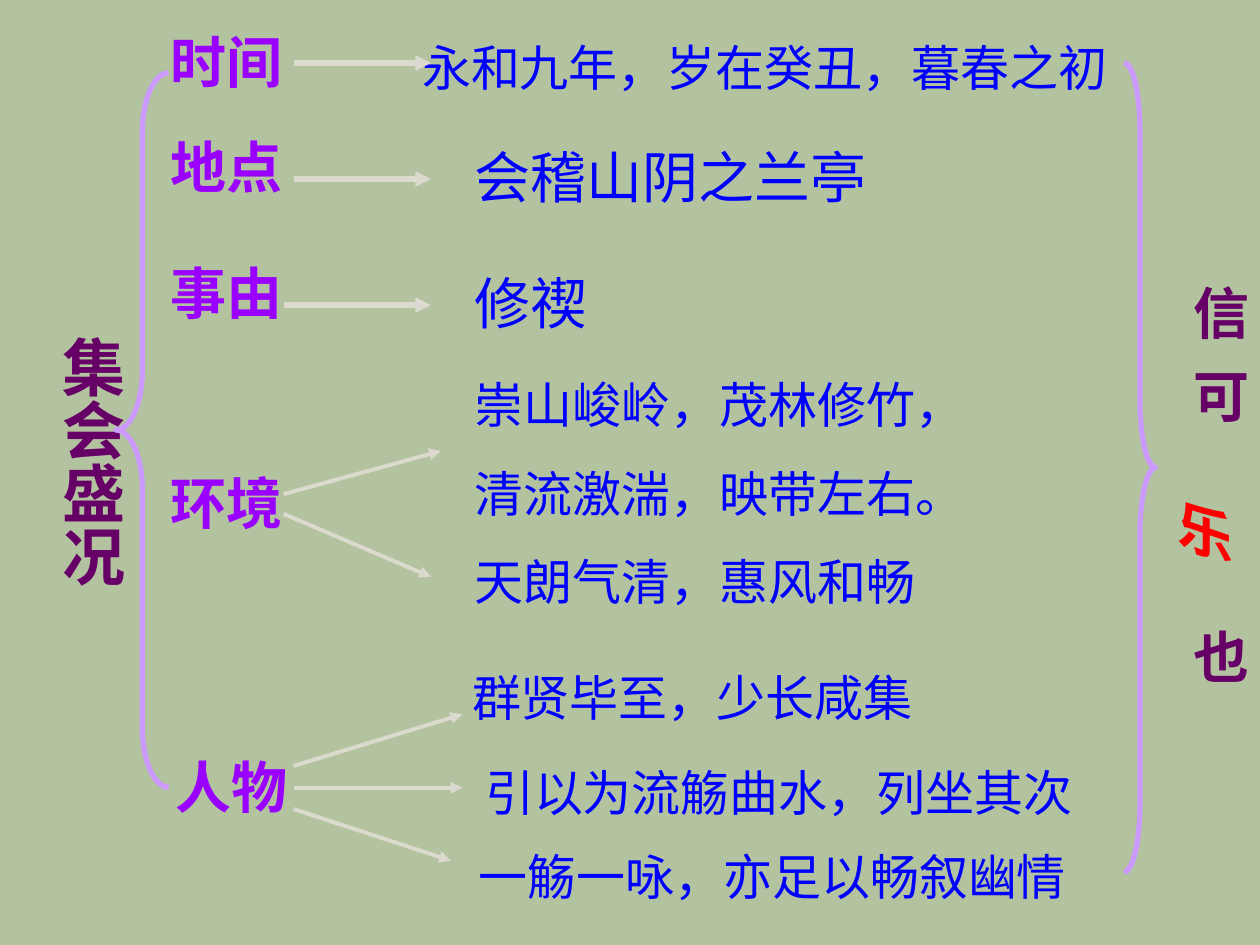
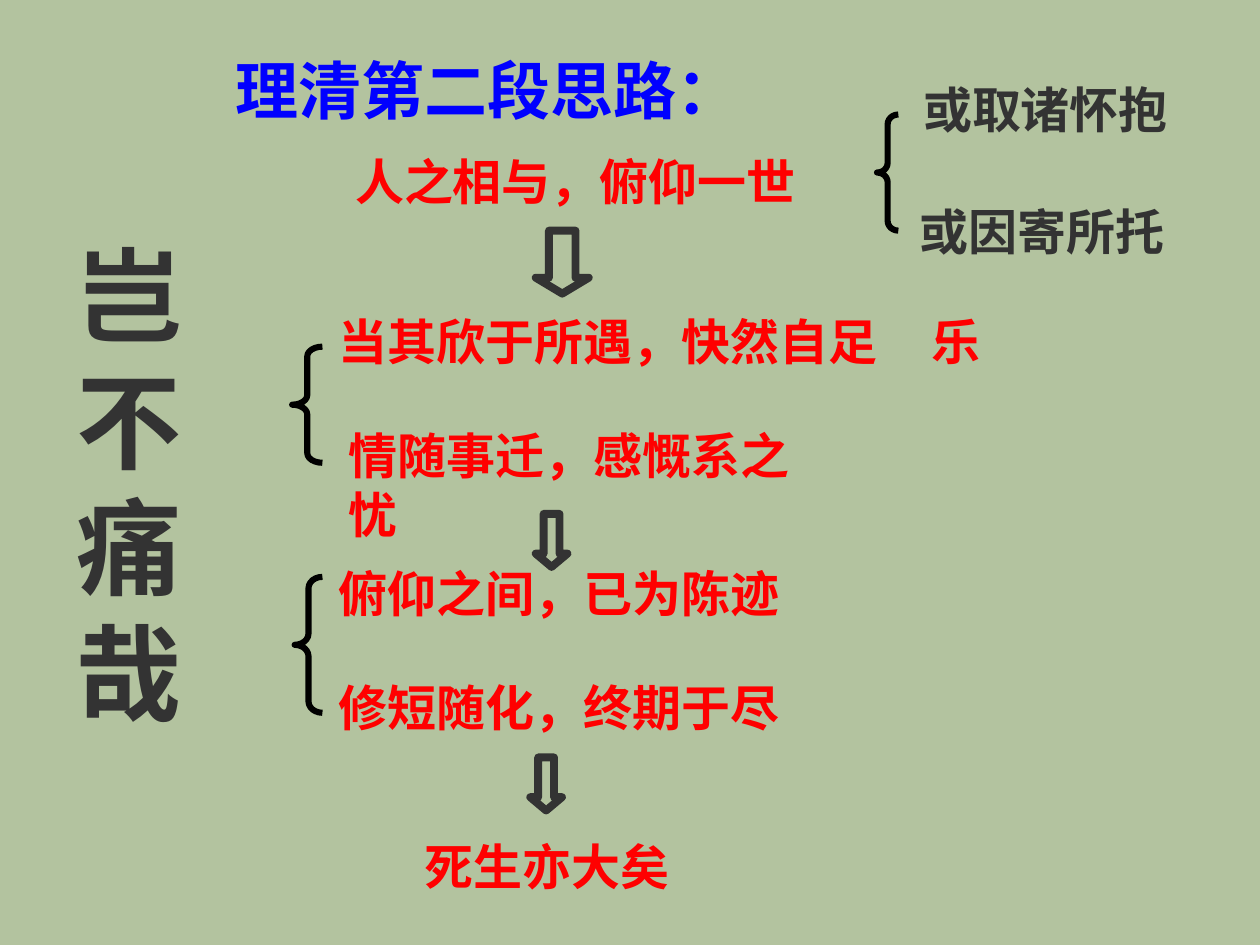
from lxml import etree
from pptx import Presentation
from pptx.dml.color import RGBColor
from pptx.enum.shapes import MSO_CONNECTOR, MSO_SHAPE
from pptx.enum.text import MSO_ANCHOR, MSO_AUTO_SIZE, PP_ALIGN
from pptx.oxml.ns import qn
from pptx.util import Cm, Pt

LEFT, CENTER = PP_ALIGN.LEFT, PP_ALIGN.CENTER
TOP = MSO_ANCHOR.TOP
FIT, FIXED = MSO_AUTO_SIZE.SHAPE_TO_FIT_TEXT, MSO_AUTO_SIZE.NONE
STRAIGHT = MSO_CONNECTOR.STRAIGHT
LEFT_BRACE, RIGHT_BRACE = MSO_SHAPE.LEFT_BRACE, MSO_SHAPE.RIGHT_BRACE
DOWN_ARROW = MSO_SHAPE.DOWN_ARROW

FONT = "Times New Roman"
COLORS = {
    "background": "B3C39F", "plum": "660066", "violet": "9900FF",
    "blue": "0000FF", "red": "FF0000", "lilac": "CC99FF",
    "arrow": "DCD9CE", "dark": "333333", "black": "000000",
}
LINE_HEIGHT = {28: 1.45, 32: 1.63, 60: 10.41}

LABEL_BOX = (3.18, 2.97)
LABELS = [
    ("时间", 0.43, LEFT), ("地点", 2.54, LEFT), ("事由", 5.08, LEFT),
    ("环境", 9.32, LEFT), ("人物", 15.04, CENTER),
]
DETAILS = [
    ("永和九年，岁在癸丑，暮春之初", 8.26, 0.64, 14.4, 28, LEFT),
    ("会稽山阴之兰亭", 9.32, 2.74, 9.09, 32, LEFT),
    ("修禊", 9.32, 5.28, 5.72, 32, LEFT),
    ("崇山峻岭，茂林修竹，\n清流激湍，映带左右。", 9.32, 7.42, 13.13, 28, LEFT),
    ("天朗气清，惠风和畅", 9.32, 11, 11.23, 28, LEFT),
    ("群贤毕至，少长咸集", 9.09, 13.34, 9.73, 28, CENTER),
    ("引以为流觞曲水，列坐其次", 9.53, 15.24, 13.34, 28, LEFT),
    ("一觞一咏，亦足以畅叙幽情", 9.32, 16.94, 12.5, 28, CENTER),
]
DETAIL_ARROWS = [
    (5.92, 1.27, 8.69, 1.27, 3), (5.92, 3.61, 8.69, 3.61, 3),
    (5.72, 6.15, 8.69, 6.15, 3),
    (5.72, 9.96, 8.89, 9.09, 2.25), (5.72, 10.36, 8.69, 11.63, 2.25),
    (5.92, 15.44, 9.32, 14.4, 2.25), (5.92, 15.88, 9.32, 15.88, 2.25),
    (5.92, 16.31, 9.09, 17.35, 2.25),
]
GATHERING_BRACES = [
    (LEFT_BRACE, 2.34, 1.47, 1.06, 14.4), (RIGHT_BRACE, 22.66, 1.27, 0.64, 16.31),
]
CONCLUSION = [
    ("信", "plum", 15, False), ("可", "plum", 40, False),
    ("乐", "red", 45, True), ("也", "plum", 0, False),
]

TITLE = "理清第二段思路："
THOUGHTS = [
    ("岂不痛哉", 1.3, 4.52, 3.4, 60, "dark"),
    ("人之相与，俯仰一世", 6.91, 2.92, 10.16, 28, "red"),
    ("或取诸怀抱", 18.36, 1.47, 5.92, 28, "dark"),
    ("或因寄所托", 18.29, 3.94, 5.72, 28, "dark"),
    ("当其欣于所遇，快然自足\t乐", 6.58, 6.15, 14.73, 28, "red"),
    ("情随事迁，感慨系之\v忧", 6.78, 8.46, 11, 28, "red"),
    ("俯仰之间，已为陈迹", 6.58, 11.23, 10.59, 28, "red"),
    ("修短随化，终期于尽", 6.58, 13.54, 9.53, 28, "red"),
    ("死生亦大矣", 8.31, 16.74, 7.19, 28, "red"),
]
JOY_TAB = 11.95
THOUGHT_BRACES = [
    (5.89, 6.99, 0.61, 2.34), (5.94, 11.63, 0.56, 2.74), (17.68, 2.31, 0.43, 2.34),
]
DOWN_ARROWS = [
    (10.8, 4.65, 1.07, 1.27, 0.3), (10.8, 10.36, 0.64, 1.07, 0.42),
    (10.69, 15.27, 0.64, 1.07, 0.42),
]


def rgb(color):
    return RGBColor.from_string(COLORS[color])


def format_run(run, size, color, bold, italic=False):
    font = run.font
    font.name, font.size, font.bold, font.italic = FONT, Pt(size), bold, italic
    font.color.rgb = rgb(color)


def add_text(slide, text, left, top, width, height, size, color, bold=True, align=LEFT):
    shape = slide.shapes.add_textbox(Cm(left), Cm(top), Cm(width), Cm(height))
    frame = shape.text_frame
    frame.word_wrap = True
    frame.auto_size = FIT
    frame.text = text
    for index, paragraph in enumerate(frame.paragraphs):
        paragraph.alignment = align
        paragraph.space_before = Pt(17.5 if index else 0)
        for run in paragraph.runs:
            format_run(run, size, color, bold)
    return shape


def turn_vertical(shape):
    frame = shape.text_frame
    frame._txBody.bodyPr.set("vert", "eaVert")
    frame.margin_left = frame.margin_right = Cm(0.13)
    frame.margin_top = frame.margin_bottom = Cm(0.25)


def add_arrow(slide, x1, y1, x2, y2, weight):
    connector = slide.shapes.add_connector(STRAIGHT, Cm(x1), Cm(y1), Cm(x2), Cm(y2))
    connector.line.color.rgb = rgb("arrow")
    connector.line.width = Pt(weight)
    properties = connector._element.spPr
    etree.SubElement(properties.find(qn("a:ln")), qn("a:tailEnd"), type="triangle")
    etree.SubElement(properties, qn("a:effectLst"))


def add_outline(slide, kind, left, top, width, height, color, weight, adjustments):
    shape = slide.shapes.add_shape(kind, Cm(left), Cm(top), Cm(width), Cm(height))
    shape.shadow.inherit = False
    shape.fill.background()
    shape.line.color.rgb = rgb(color)
    shape.line.width = Pt(weight)
    for index, value in enumerate(adjustments):
        shape.adjustments[index] = value


def add_brace(slide, kind, left, top, width, height, color, weight):
    curve = height / 12 / min(width, height)
    add_outline(slide, kind, left, top, width, height, color, weight, (curve, 0.5))


def build_gathering(presentation):
    slide = presentation.slides.add_slide(presentation.slide_layouts[6])
    turn_vertical(add_text(slide, "集会盛况", 0.71, 6.53, 2.03, 6.58, 36, "plum", align=CENTER))
    left, width = LABEL_BOX
    for text, top, align in LABELS:
        add_text(slide, text, left, top, width, LINE_HEIGHT[32], 32, "violet", align=align)
    for text, left, top, width, size, align in DETAILS:
        height = LINE_HEIGHT[size] + 1.8 * text.count("\n")
        add_text(slide, text, left, top, width, height, size, "blue", False, align)
    for arrow in DETAIL_ARROWS:
        add_arrow(slide, *arrow)
    for brace in GATHERING_BRACES:
        add_brace(slide, *brace, "lilac", 3)

    conclusion = add_text(slide, "", 22.2, 5.51, 3.2, 8.89, 32, "plum", align=CENTER)
    turn_vertical(conclusion)
    for text, color, gap, italic in CONCLUSION:
        run = conclusion.text_frame.paragraphs[0].add_run()
        run.text = text
        format_run(run, 32, color, True, italic)
        run.font._element.set("spc", str(gap * 100))


def build_thoughts(presentation):
    slide = presentation.slides.add_slide(presentation.slide_layouts[5])
    title = slide.shapes.title
    title.left, title.top, title.width, title.height = Cm(4.5), Cm(0.91), Cm(11.81), Cm(4.11)
    frame = title.text_frame
    frame.text = TITLE
    frame.vertical_anchor = TOP
    frame.auto_size = FIXED
    frame.paragraphs[0].alignment = LEFT
    format_run(frame.paragraphs[0].runs[0], 36, "blue", True)

    for text, left, top, width, size, color in THOUGHTS:
        height = LINE_HEIGHT[size] * (1 + text.count("\v"))
        shape = add_text(slide, text, left, top, width, height, size, color)
        if "\t" in text:
            properties = shape.text_frame.paragraphs[0]._p.get_or_add_pPr()
            tabs = etree.SubElement(properties, qn("a:tabLst"))
            etree.SubElement(tabs, qn("a:tab"), pos=str(Cm(JOY_TAB)), algn="l")
    for *box, head in DOWN_ARROWS:
        add_outline(slide, DOWN_ARROW, *box, "dark", 4.5, (0.5, head))
    for brace in THOUGHT_BRACES:
        add_brace(slide, LEFT_BRACE, *brace, "black", 3.5)


presentation = Presentation()
presentation.slide_width, presentation.slide_height = Cm(25.4), Cm(19.05)
background = presentation.slide_master.background.fill
background.solid()
background.fore_color.rgb = rgb("background")
build_gathering(presentation)
build_thoughts(presentation)
presentation.save("out.pptx")
